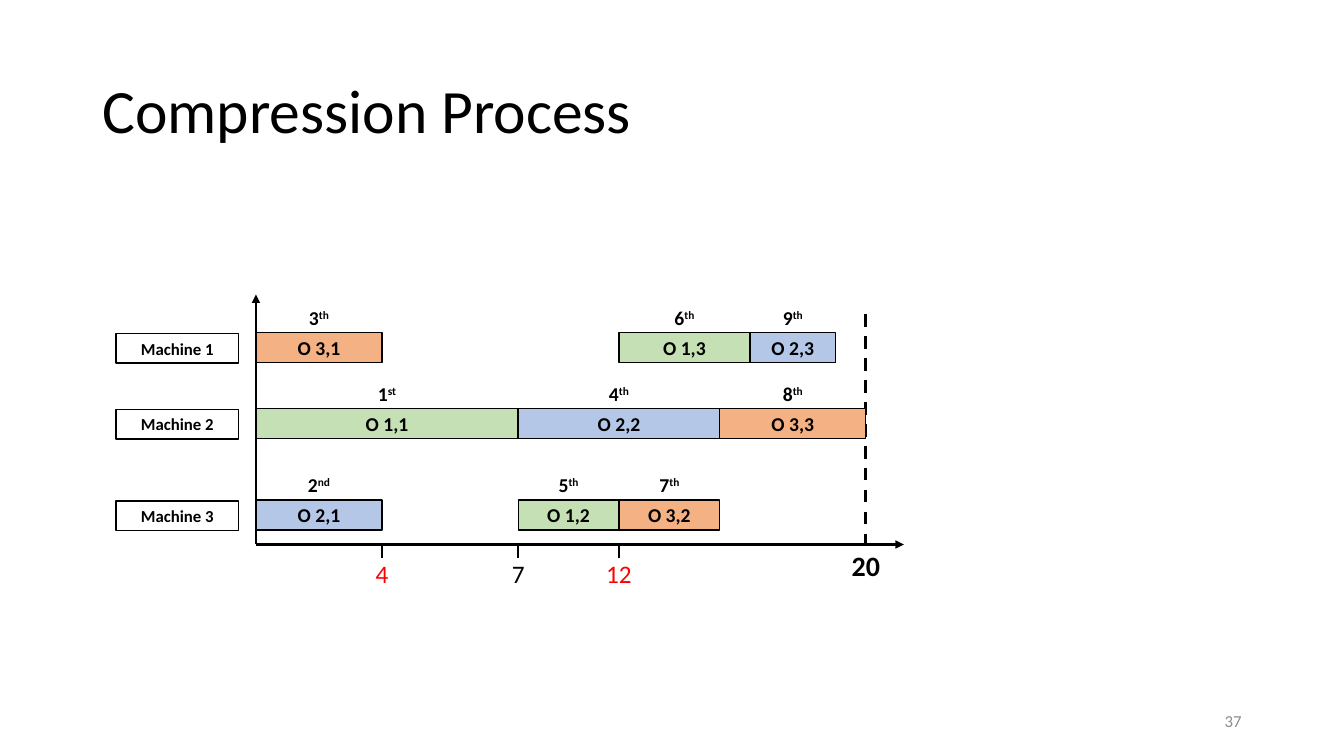
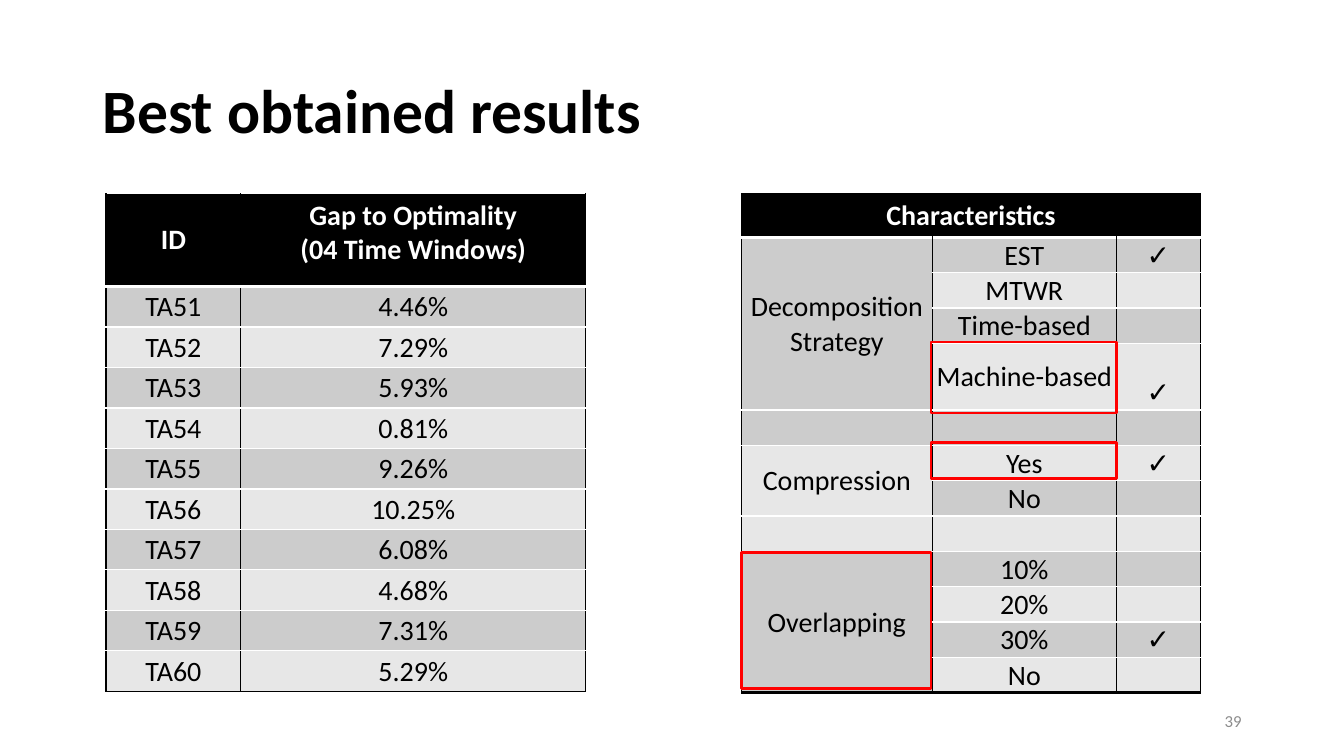
from dataclasses import dataclass
from itertools import product
from typing import Optional

from lxml.etree import SubElement
from pptx import Presentation
from pptx.dml.color import RGBColor
from pptx.enum.dml import MSO_LINE
from pptx.enum.shapes import MSO_CONNECTOR, MSO_SHAPE
from pptx.enum.text import MSO_ANCHOR as Anchor, PP_ALIGN as Align
from pptx.oxml.ns import qn
from pptx.util import Cm, Pt

BLACK = RGBColor(0x00, 0x00, 0x00)
WHITE = RGBColor(0xFF, 0xFF, 0xFF)
RED = RGBColor(0xFF, 0x00, 0x00)
PAGE_GREY = RGBColor(0x8C, 0x8C, 0x8C)
BAND_DARK = RGBColor(0xCC, 0xCC, 0xCC)
BAND_LIGHT = RGBColor(0xE7, 0xE7, 0xE7)
JOB_1 = RGBColor(0xC5, 0xE0, 0xB4)
JOB_2 = RGBColor(0xB4, 0xC7, 0xE7)
JOB_3 = RGBColor(0xF4, 0xB1, 0x83)
FONT = "Calibri"
TITLE_ONLY = 5

# Chart positions in centimetres
AXIS_X, AXIS_Y = 6.45, 13.72
AT_4, AT_7, AT_12, AT_15, AT_16, AT_19, AT_20 = 9.63, 13.06, 15.6, 18.14, 18.9, 21.06, 21.82
BAR_HEIGHT = 0.76
MACHINE_TOPS = {1: 8.38, 2: 10.29, 3: 12.6}
TABLE_TOP = 4.88
CHECK = "✓"


@dataclass(frozen=True)
class Operation:
    name: str
    machine: int
    start: float
    end: float
    color: RGBColor
    rank: str
    suffix: str = "th"


@dataclass(frozen=True)
class Tick:
    label: str
    x: float
    color: RGBColor


@dataclass(frozen=True)
class Box:
    left: float
    top: float
    width: float
    height: float
    line_width: float = 1


@dataclass(frozen=True)
class Grid:
    left: float
    widths: list[float]
    heights: list[float]
    rows: list[list[str]]
    merges: list[tuple[int, int, int, int]]
    top_color: RGBColor
    bottom_width: float


OPERATIONS = [
    Operation("O 3,2", 3, AT_12, AT_15, JOB_3, "7"),
    Operation("O 1,1", 2, AXIS_X, AT_7, JOB_1, "1", "st"),
    Operation("O 1,2", 3, AT_7, AT_12, JOB_1, "5"),
    Operation("O 2,3", 1, AT_16, AT_19, JOB_2, "9"),
    Operation("O 1,3", 1, AT_12, AT_16, JOB_1, "6"),
    Operation("O 2,2", 2, AT_7, AT_15, JOB_2, "4"),
    Operation("O 2,1", 3, AXIS_X, AT_4, JOB_2, "2", "nd"),
    Operation("O 3,1", 1, AXIS_X, AT_4, JOB_3, "3"),
    Operation("O 3,3", 2, AT_15, AT_20, JOB_3, "8"),
]
TICKS = [Tick("4", AT_4, RED), Tick("7", AT_7, BLACK), Tick("12", AT_12, RED)]

GAPS = ["4.46%", "7.29%", "5.93%", "0.81%", "9.26%",
        "10.25%", "6.08%", "4.68%", "7.31%", "5.29%"]
RESULTS = Grid(
    left=2.67, widths=[3.4, 8.69], heights=[2.34] + [1.02] * len(GAPS),
    rows=[["ID", "Gap to Optimality\n(04 Time Windows)"]]
    + [[f"TA{number}", gap] for number, gap in enumerate(GAPS, 51)],
    merges=[], top_color=WHITE, bottom_width=1,
)
CHARACTERISTICS = Grid(
    left=18.69, widths=[4.8, 4.65, 2.11],
    heights=[1.09] + [0.89] * 3 + [1.68] + [0.89] * 8,
    rows=[
        ["Characteristics", "", ""],
        ["Decomposition\nStrategy", "EST", CHECK],
        ["", "MTWR", ""],
        ["", "Time-based", ""],
        ["", "Machine-based", CHECK],
        ["", "", ""],
        ["Compression", "Yes", CHECK],
        ["", "No", ""],
        ["", "", ""],
        ["Overlapping", "10%", ""],
        ["", "20%", ""],
        ["", "30%", CHECK],
        ["", "No", ""],
    ],
    merges=[(0, 0, 0, 2), (1, 0, 4, 0), (6, 0, 7, 0), (9, 0, 12, 0)],
    top_color=BLACK, bottom_width=3,
)
BEST_CHOICES = [
    Box(23.47, 8.61, 4.67, 1.8, 1.5),
    Box(23.47, 11.15, 4.67, 0.91, 1.5),
    Box(18.69, 13.92, 4.78, 3.43, 1.75),
]


def style_paragraph(paragraph, size: float, color: RGBColor, bold: bool = False,
                    align: Align = Align.CENTER) -> None:
    paragraph.alignment = align
    font = paragraph.font
    font.name, font.size, font.bold = FONT, Pt(size), bold
    font.color.rgb = color


def write_text(shape, text: str, size: float, color: RGBColor = BLACK,
               bold: bool = False, align: Align = Align.CENTER):
    """Write one vertically centred line and return its paragraph."""
    frame = shape.text_frame
    frame.word_wrap = True
    frame.vertical_anchor = Anchor.MIDDLE
    frame.margin_left = frame.margin_right = frame.margin_top = frame.margin_bottom = 0
    frame.text = text
    paragraph = frame.paragraphs[0]
    style_paragraph(paragraph, size, color, bold, align)
    return paragraph


def add_label(slide, box: Box, text: str, size: float, color: RGBColor = BLACK,
              bold: bool = False, align: Align = Align.CENTER):
    label = slide.shapes.add_textbox(Cm(box.left), Cm(box.top), Cm(box.width), Cm(box.height))
    return write_text(label, text, size, color, bold, align)


def add_rectangle(slide, box: Box, fill: Optional[RGBColor] = None,
                  line: RGBColor = BLACK):
    rectangle = slide.shapes.add_shape(
        MSO_SHAPE.RECTANGLE, Cm(box.left), Cm(box.top), Cm(box.width), Cm(box.height))
    rectangle.shadow.inherit = False
    if fill is None:
        rectangle.fill.background()
    else:
        rectangle.fill.solid()
        rectangle.fill.fore_color.rgb = fill
    rectangle.line.color.rgb = line
    rectangle.line.width = Pt(box.line_width)
    return rectangle


def add_line(slide, start: tuple[float, float], end: tuple[float, float], width: float,
             arrow: bool = False, dashed: bool = False) -> None:
    connector = slide.shapes.add_connector(
        MSO_CONNECTOR.STRAIGHT, Cm(start[0]), Cm(start[1]), Cm(end[0]), Cm(end[1]))
    connector.line.color.rgb = BLACK
    connector.line.width = Pt(width)
    if dashed:
        connector.line.dash_style = MSO_LINE.DASH
    if arrow:
        SubElement(connector.line._get_or_add_ln(), qn("a:tailEnd"), type="triangle")
    SubElement(connector._element.spPr, qn("a:effectLst"))


def add_slide(prs, title_text: str, page: int, bold: bool = False):
    slide = prs.slides.add_slide(prs.slide_layouts[TITLE_ONLY])
    title = slide.shapes.title
    title.left, title.top, title.width, title.height = Cm(2.33), Cm(1.01), Cm(29.21), Cm(3.68)
    title.text_frame.text = title_text
    title.text_frame.vertical_anchor = Anchor.MIDDLE
    paragraph = title.text_frame.paragraphs[0]
    paragraph.line_spacing = 0.9
    style_paragraph(paragraph, 44, BLACK, bold, Align.LEFT)
    add_label(slide, Box(23.92, 17.66, 7.37, 1.01), str(page), 12, PAGE_GREY, align=Align.RIGHT)
    return slide


def add_operation(slide, operation: Operation) -> None:
    """Draw a bar with its scheduling rank centred above it."""
    top = MACHINE_TOPS[operation.machine]
    bar = Box(operation.start, top, operation.end - operation.start, BAR_HEIGHT)
    write_text(add_rectangle(slide, bar, operation.color), operation.name, 14, bold=True)
    center = (operation.start + operation.end) / 2
    rank = add_label(slide, Box(center - 0.6, top - 0.81, 1.2, 0.86),
                     operation.rank, 14, bold=True)
    suffix = rank.add_run()
    suffix.text = operation.suffix
    suffix._r.get_or_add_rPr().set("baseline", "30000")


def set_borders(cell, borders: dict[str, tuple[RGBColor, float]]) -> None:
    """Add cell borders; must run before the cell is filled."""
    properties = cell._tc.get_or_add_tcPr()
    for side in "LRTB":
        color, width = borders[side]
        line = SubElement(properties, qn(f"a:ln{side}"), w=str(Pt(width)))
        SubElement(SubElement(line, qn("a:solidFill")), qn("a:srgbClr"), val=str(color))


def format_cell(cell, row: int, grid: Grid) -> None:
    header = row == 0
    at_bottom = row + max(cell.span_height, 1) == len(grid.rows)
    set_borders(cell, {
        "L": (BLACK, 1),
        "R": (BLACK, 1),
        "T": (grid.top_color if header else WHITE, 3 if row == 1 else 1),
        "B": (BLACK, grid.bottom_width) if at_bottom else (WHITE, 3 if header else 1),
    })
    cell.fill.solid()
    cell.fill.fore_color.rgb = BLACK if header else (BAND_DARK if row % 2 else BAND_LIGHT)
    checked = cell.text == CHECK
    if not header:
        cell.margin_left = cell.margin_right = cell.margin_top = Cm(0.03)
        cell.margin_bottom = 0
        cell.vertical_anchor = Anchor.BOTTOM if checked else Anchor.MIDDLE
    for paragraph in cell.text_frame.paragraphs:
        style_paragraph(paragraph, 20, WHITE if header else BLACK, header or checked)


def add_grid(slide, grid: Grid):
    table = slide.shapes.add_table(
        len(grid.rows), len(grid.widths), Cm(grid.left), Cm(TABLE_TOP),
        Cm(sum(grid.widths)), Cm(sum(grid.heights))).table
    for column, width in zip(table.columns, grid.widths):
        column.width = Cm(width)
    for row, height in zip(table.rows, grid.heights):
        row.height = Cm(height)
    for top, left, bottom, right in grid.merges:
        table.cell(top, left).merge(table.cell(bottom, right))
    for row, column in product(range(len(grid.rows)), range(len(grid.widths))):
        cell = table.cell(row, column)
        cell.text = grid.rows[row][column]
        format_cell(cell, row, grid)
    return table


def build_compression(prs) -> None:
    slide = add_slide(prs, "Compression Process", 37)
    add_line(slide, (AXIS_X, AXIS_Y), (AXIS_X, 7.42), 2, arrow=True)
    add_line(slide, (AXIS_X, AXIS_Y), (22.78, AXIS_Y), 2, arrow=True)
    add_line(slide, (AT_20, 7.92), (AT_20, AXIS_Y), 2.25, dashed=True)
    for machine, top in MACHINE_TOPS.items():
        name_box = add_rectangle(slide, Box(2.92, top + 0.03, 3.1, 0.74))
        write_text(name_box, f"Machine {machine}", 12, bold=True)
    for operation in OPERATIONS:
        add_operation(slide, operation)
    for tick in TICKS:
        add_line(slide, (tick.x, AXIS_Y), (tick.x, AXIS_Y + 0.33), 1.5)
        add_label(slide, Box(tick.x - 0.7, 14.05, 1.4, 0.79), tick.label, 18, tick.color)
    add_label(slide, Box(AT_20 - 0.7, 13.82, 1.4, 0.86), "20", 20, bold=True)


def build_results(prs) -> None:
    slide = add_slide(prs, "Best obtained results", 39, bold=True)
    results = add_grid(slide, RESULTS)
    results.cell(0, 0).vertical_anchor = Anchor.MIDDLE
    add_grid(slide, CHARACTERISTICS)
    for choice in BEST_CHOICES:
        add_rectangle(slide, choice, line=RED)


def main() -> None:
    prs = Presentation()
    prs.slide_width, prs.slide_height = Cm(33.87), Cm(19.05)
    build_compression(prs)
    build_results(prs)
    prs.save("out.pptx")


if __name__ == "__main__":
    main()
